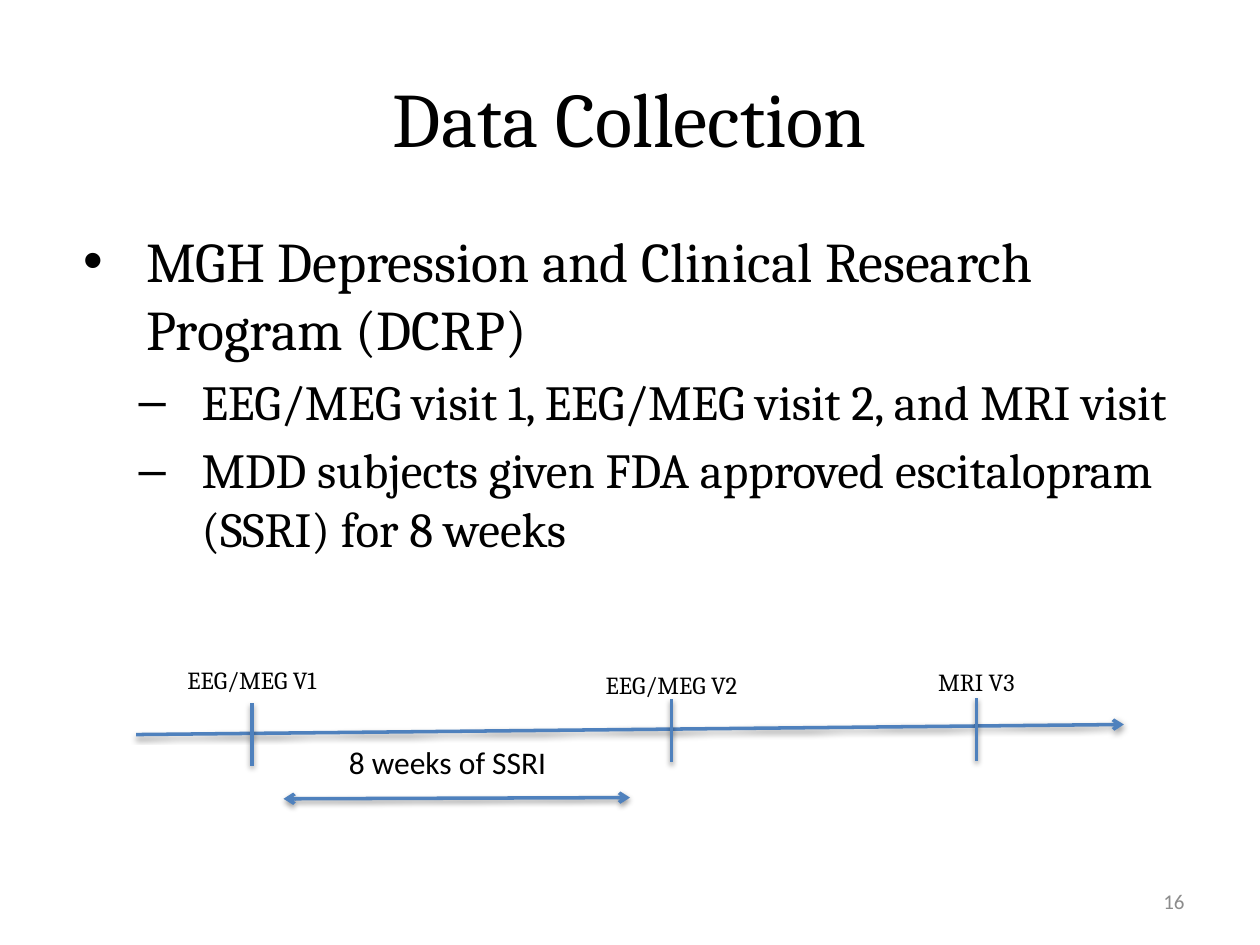
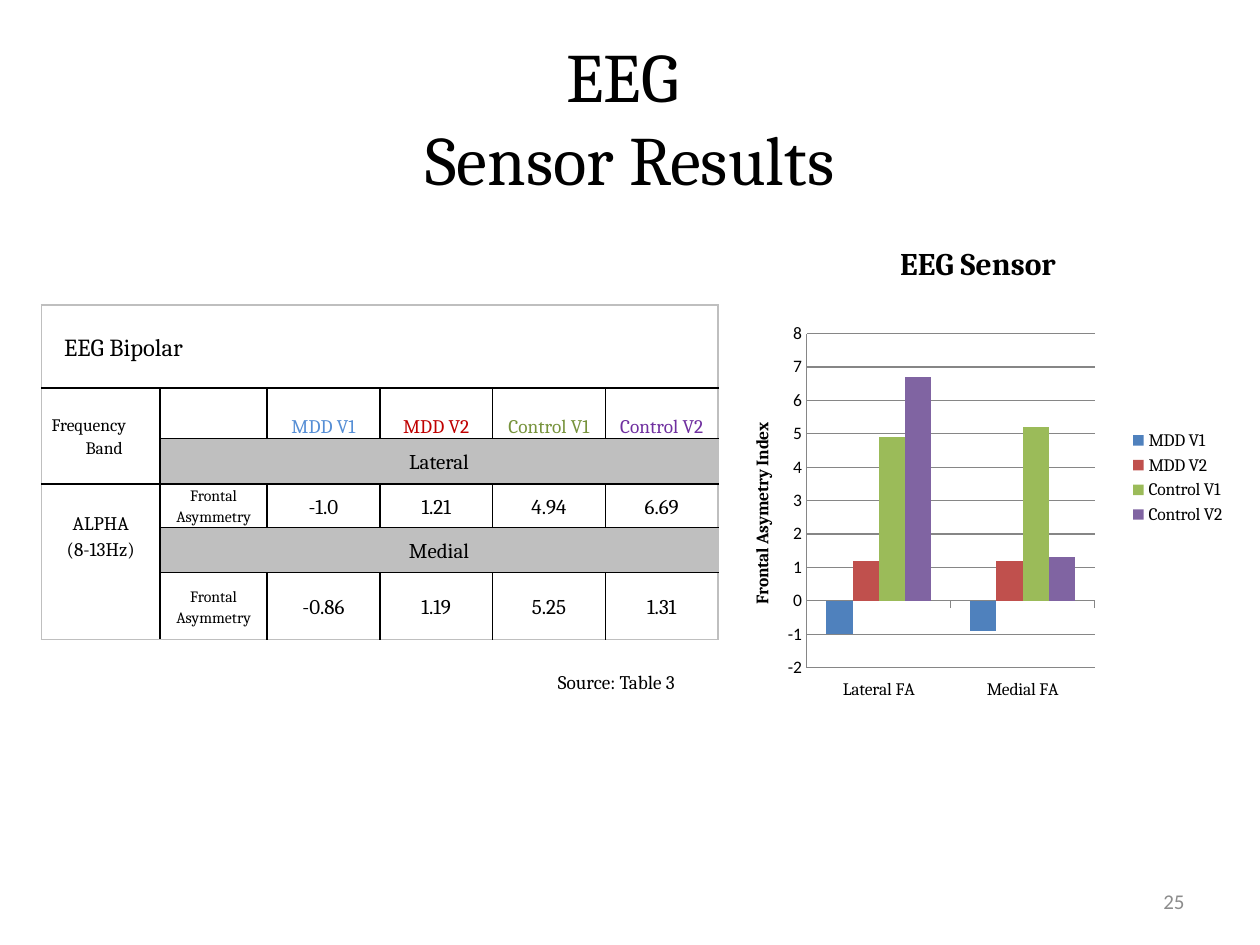
from dataclasses import dataclass
from lxml.etree import SubElement
from pptx import Presentation
from pptx.chart.data import CategoryChartData
from pptx.dml.color import RGBColor
from pptx.enum.chart import XL_CHART_TYPE as ChartType
from pptx.enum.chart import XL_LEGEND_POSITION as LegendPos
from pptx.enum.chart import XL_TICK_LABEL_POSITION as LabelPos
from pptx.enum.chart import XL_TICK_MARK as Tick
from pptx.enum.shapes import MSO_CONNECTOR as Conn
from pptx.enum.text import MSO_ANCHOR as Anchor
from pptx.enum.text import MSO_AUTO_SIZE as AutoSize
from pptx.enum.text import PP_ALIGN as Align
from pptx.oxml import parse_xml
from pptx.oxml.ns import nsdecls, qn
from pptx.util import Inches, Pt

SERIF, SANS = "Cambria", "Calibri"
BLACK, BLUE, GREY, BAND, GRID = "000000", "4F81BD", "8C8C8C", "BFBFBF", "868686"


@dataclass
class Visit:
    label: str
    x: float
    label_top: float
    tick_top: float


@dataclass
class Group:
    name: str
    text_color: str
    bar_color: str
    lateral: str
    medial: str


@dataclass
class Cell:
    row: int
    col: int
    text: str = ""
    size: float = 11
    color: str = BLACK
    rows: int = 1
    cols: int = 1
    anchor: Anchor = Anchor.MIDDLE
    align: Align = Align.CENTER
    fill: str = ""
    left: float = 0.07
    top: float = 0
    hang: float = 0


VISITS = [
    Visit("EEG/MEG V1", 2, 5.16, 5.58),
    Visit("EEG/MEG V2", 5.33, 5.2, 5.55),
    Visit("MRI V3", 7.75, 5.18, 5.54),
]
GROUPS = [
    Group("MDD V1", "558ED5", BLUE, "-1.0", "-0.86"),
    Group("MDD V2", "C00000", "C0504D", "1.21", "1.19"),
    Group("Control V1", "77933C", "9BBB59", "4.94", "5.25"),
    Group("Control V2", "7030A0", "8064A2", "6.69", "1.31"),
]
TABLE_WIDTH = 5.37
LABEL_WIDTHS = [0.94, 0.85]
COL_WIDTHS = LABEL_WIDTHS + [(TABLE_WIDTH - sum(LABEL_WIDTHS)) / len(GROUPS)] * len(GROUPS)
ROW_HEIGHTS = [0.66, 0.4, 0.36, 0.33, 0.36, 0.53]


def rgb(color: str) -> RGBColor:
    return RGBColor.from_string(color)


def set_font(font, size: float, name: str = SERIF, color: str = BLACK, bold: bool = False) -> None:
    font.size, font.name, font.bold = Pt(size), name, bold
    font.color.rgb = rgb(color)


def add_run(p, text: str, size: float, name: str = SERIF, color: str = BLACK,
            bold: bool = False) -> None:
    r = p.add_run()
    r.text = text
    set_font(r.font, size, name, color, bold)


def add_text(slide, text: str, left: float, top: float, width: float, height: float, size: float,
             name: str = SERIF, color: str = BLACK, align: Align = Align.LEFT,
             anchor: Anchor = Anchor.TOP) -> None:
    tf = slide.shapes.add_textbox(Inches(left), Inches(top), Inches(width), Inches(height)).text_frame
    tf.word_wrap, tf.vertical_anchor = True, anchor
    tf.paragraphs[0].alignment = align
    add_run(tf.paragraphs[0], text, size, name, color)


def add_slide(prs, layout: int, title: list[str], size: float, number: str):
    slide = prs.slides.add_slide(prs.slide_layouts[layout])
    sp = slide.shapes.title
    sp.left, sp.top, sp.width, sp.height = Inches(0.5), Inches(0.3), Inches(9), Inches(1.25)
    tf = sp.text_frame
    tf.auto_size, tf.vertical_anchor = AutoSize.NONE, Anchor.MIDDLE
    p = tf.paragraphs[0]
    p.alignment = Align.CENTER
    for i, line in enumerate(title):
        if i:
            p.add_line_break()
        add_run(p, line, size)
    add_text(slide, number, 7.17, 6.95, 2.33, 0.4, 12, SANS, GREY, Align.RIGHT, Anchor.MIDDLE)
    return slide


def add_line(slide, x1: float, y1: float, x2: float, y2: float, ends: tuple[str, ...] = ()) -> None:
    line = slide.shapes.add_connector(Conn.STRAIGHT, Inches(x1), Inches(y1), Inches(x2), Inches(y2))
    line.line.width = Pt(2)
    line.line.color.rgb = rgb(BLUE)
    sp_pr = line.element.spPr
    for end in ends:
        SubElement(sp_pr.find(qn("a:ln")), qn(f"a:{end}"), type="arrow")
    sp_pr.append(parse_xml(
        f'<a:effectLst {nsdecls("a")}><a:outerShdw blurRad="{Pt(3.1)}" dist="{Pt(1.6)}" dir="5400000" '
        'rotWithShape="0"><a:srgbClr val="000000"><a:alpha val="38000"/></a:srgbClr>'
        '</a:outerShdw></a:effectLst>'))


def set_indent(p, left: float, first: float) -> None:
    p_pr = p._p.get_or_add_pPr()
    p_pr.set("marL", str(Inches(left)))
    p_pr.set("indent", str(Inches(first)))


def build_collection(prs) -> None:
    slide = add_slide(prs, 1, ["Data Collection"], 44, "16")
    body = slide.placeholders[1]
    body.left, body.top, body.width, body.height = Inches(0.5), Inches(1.75), Inches(9), Inches(4.95)
    tf = body.text_frame
    tf.auto_size = AutoSize.NONE
    bullets = [
        (0, "MGH Depression and Clinical Research Program (DCRP)"),
        (1, "EEG/MEG visit 1, EEG/MEG visit 2, and MRI visit"),
        (1, "MDD subjects given FDA approved escitalopram (SSRI) for 8 weeks"),
    ]
    for i, (level, text) in enumerate(bullets):
        p = tf.add_paragraph() if i else tf.paragraphs[0]
        p.level = level
        set_indent(p, (0.56, 1)[level], -0.5)
        if not i:
            p.space_before = Pt(0)
        add_run(p, text, (32, 28)[level])
    add_line(slide, 1.08, 5.83, 8.92, 5.75, ("tailEnd",))
    for v in VISITS:
        add_line(slide, v.x, v.tick_top, v.x, v.tick_top + 0.5)
        add_text(slide, v.label, v.x - 0.79, v.label_top, 1.58, 0.4, 14,
                 align=Align.CENTER, anchor=Anchor.BOTTOM)
    add_line(slide, 2.25, 6.34, 5, 6.33, ("headEnd", "tailEnd"))
    add_text(slide, "8 weeks of SSRI", 2.67, 5.85, 1.92, 0.4, 18, SANS)


def add_borders(table, c: Cell) -> None:
    last_row, last_col = c.row + c.rows - 1, c.col + c.cols - 1
    for row in range(c.row, last_row + 1):
        for col in range(c.col, last_col + 1):
            tc_pr = table.cell(row, col)._tc.get_or_add_tcPr()
            is_origin = (row, col) == (c.row, c.col)
            sides = [
                ("lnL", col == c.col, c.col == 0),
                ("lnR", col == last_col, last_col == len(COL_WIDTHS) - 1),
                ("lnT", row == c.row, c.row == 0),
                ("lnB", row == last_row, last_row == len(ROW_HEIGHTS) - 1),
            ]
            for tag, on_edge, outer in sides:
                if on_edge or is_origin:
                    ln = SubElement(tc_pr, qn(f"a:{tag}"), w=str(Pt(1)))
                    fill = SubElement(ln, qn("a:solidFill"))
                    SubElement(fill, qn("a:srgbClr"), val=BAND if outer else BLACK)


def fill_cell(table, c: Cell) -> None:
    cell = table.cell(c.row, c.col)
    if c.rows * c.cols > 1:
        cell.merge(table.cell(c.row + c.rows - 1, c.col + c.cols - 1))
    add_borders(table, c)
    if c.fill:
        cell.fill.solid()
        cell.fill.fore_color.rgb = rgb(c.fill)
    else:
        cell.fill.background()
    cell.vertical_anchor = c.anchor
    cell.margin_left, cell.margin_right = Inches(c.left), Inches(0.07)
    cell.margin_top, cell.margin_bottom = Inches(c.top), 0
    tf = cell.text_frame
    for i, text in enumerate(c.text.split("\n")):
        p = tf.add_paragraph() if i else tf.paragraphs[0]
        p.alignment, p.line_spacing = c.align, 1.15
        if c.hang:
            set_indent(p, c.hang, -c.hang)
        if text:
            add_run(p, text, c.size, color=c.color)


def add_results_table(slide) -> None:
    frame = slide.shapes.add_table(len(ROW_HEIGHTS), len(COL_WIDTHS), Inches(0.33), Inches(2.42),
                                   Inches(TABLE_WIDTH), Inches(sum(ROW_HEIGHTS)))
    table = frame.table
    table.first_row = table.horz_banding = False
    for column, width in zip(table.columns, COL_WIDTHS):
        column.width = Inches(width)
    for row, height in zip(table.rows, ROW_HEIGHTS):
        row.height = Inches(height)
    cells = [
        Cell(0, 0, "EEG Bipolar", 14, cols=6, align=Align.LEFT, left=0.18),
        Cell(1, 0, "Frequency Band", 10, rows=2, align=Align.LEFT, left=0.08, hang=0.27),
        Cell(1, 1),
        Cell(2, 1, "Lateral", 12, cols=5, fill=BAND),
        Cell(3, 0, "ALPHA\n(8-13Hz)", rows=3, anchor=Anchor.TOP, top=0.21),
        Cell(4, 1, "Medial", 12, cols=5, fill=BAND),
    ]
    cells += [Cell(row, 1, "Frontal Asymmetry", 9) for row in (3, 5)]
    for col, g in enumerate(GROUPS, 2):
        cells += [
            Cell(1, col, g.name, color=g.text_color, anchor=Anchor.BOTTOM),
            Cell(3, col, g.lateral, 12),
            Cell(5, col, g.medial, 12),
        ]
    for c in cells:
        fill_cell(table, c)


def add_results_chart(slide) -> None:
    data = CategoryChartData()
    data.categories = ["Lateral FA", "Medial FA"]
    for g in GROUPS:
        data.add_series(g.name, [round(float(value), 1) for value in (g.lateral, g.medial)])
    chart = slide.shapes.add_chart(ChartType.COLUMN_CLUSTERED, Inches(5.75), Inches(1.75),
                                   Inches(4.08), Inches(4.08), data).chart
    set_font(chart.font, 10, SANS)
    chart.has_title = True
    add_run(chart.chart_title.text_frame.paragraphs[0], "EEG Sensor ", 18, bold=True)
    chart.has_legend = True
    chart.legend.position, chart.legend.include_in_layout = LegendPos.RIGHT, False
    set_font(chart.legend.font, 10)

    plot = chart.plots[0]
    plot.gap_width, plot.overlap, plot.vary_by_categories = 150, 0, False
    for series, g in zip(plot.series, GROUPS):
        series.invert_if_negative = False
        series.format.fill.solid()
        series.format.fill.fore_color.rgb = rgb(g.bar_color)

    cat, val = chart.category_axis, chart.value_axis
    cat.tick_label_position, cat.major_tick_mark = LabelPos.LOW, Tick.OUTSIDE
    set_font(cat.tick_labels.font, 10)
    val.minimum_scale, val.maximum_scale, val.major_unit = -2, 8, 1
    val.major_tick_mark, val.has_major_gridlines = Tick.NONE, True
    val.tick_labels.number_format, val.tick_labels.number_format_is_linked = "General", False
    add_run(val.axis_title.text_frame.paragraphs[0], "Frontal Asymetry Index ", 10, bold=True)
    for part in (cat, val, val.major_gridlines):
        part.format.line.width = Pt(0.75)
        part.format.line.color.rgb = rgb(GRID)

    area = chart.element.find(f".//{qn('c:plotArea')}")
    for old in area.findall(qn("c:layout")):
        area.remove(old)
    layout = parse_xml(f'<c:layout {nsdecls("c")}><c:manualLayout/></c:layout>')
    settings = {"layoutTarget": "inner", "xMode": "edge", "yMode": "edge",
                "x": 0.16, "y": 0.22, "w": 0.56, "h": 0.65}
    for tag, value in settings.items():
        SubElement(layout[0], qn(f"c:{tag}"), val=str(value))
    area.insert(0, layout)


def build_results(prs) -> None:
    slide = add_slide(prs, 5, ["EEG ", "Sensor Results"], 39.6, "25")
    add_results_table(slide)
    add_results_chart(slide)
    add_text(slide, "Source: Table 3", 4.33, 5.27, 1.92, 0.29, 11)


def main() -> None:
    prs = Presentation()
    prs.slide_width, prs.slide_height = Inches(10), Inches(7.5)
    build_collection(prs)
    build_results(prs)
    prs.save("out.pptx")


if __name__ == "__main__":
    main()
